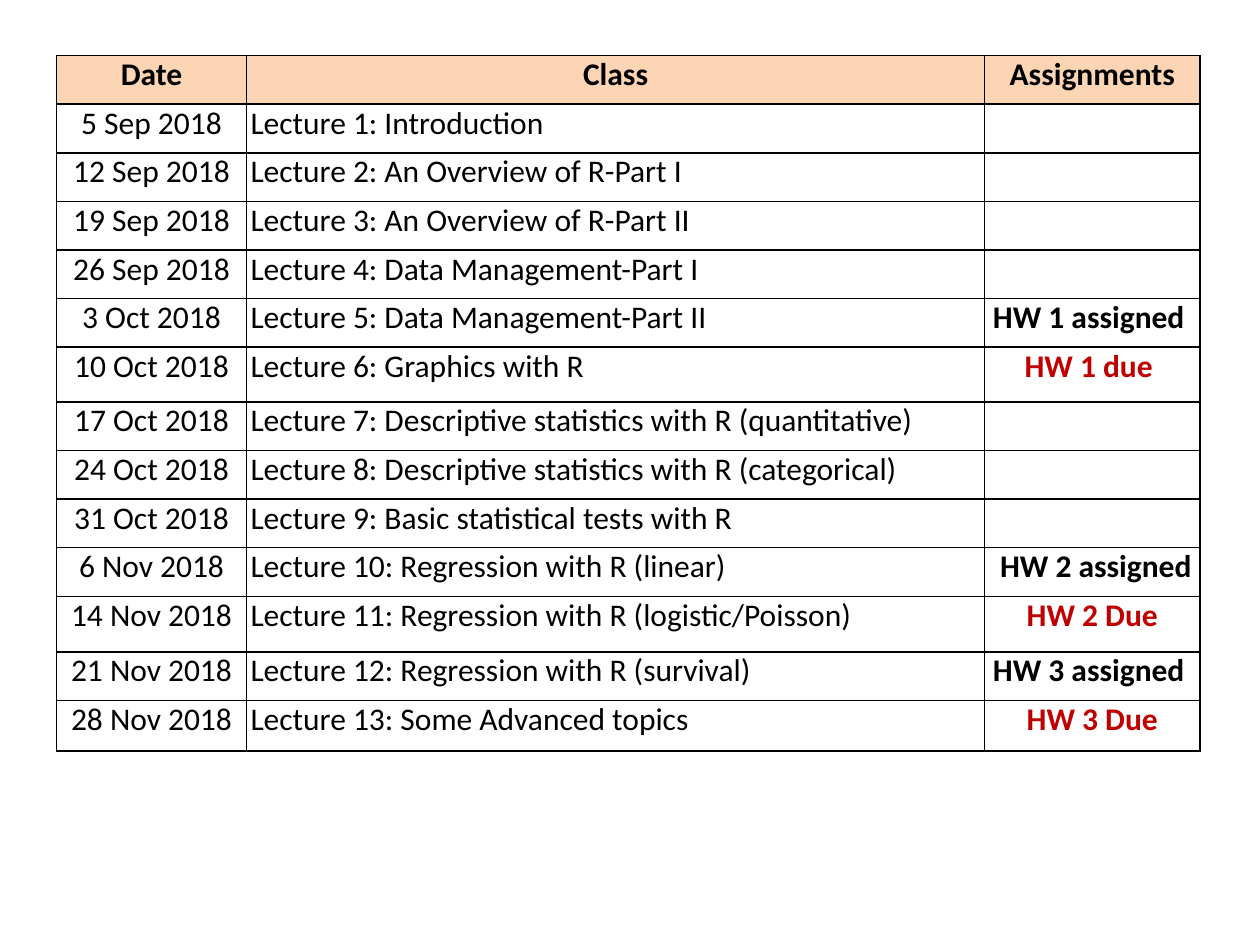
from lxml.etree import SubElement
from pptx import Presentation
from pptx.dml.color import RGBColor
from pptx.enum.text import PP_ALIGN as Align
from pptx.oxml.ns import qn
from pptx.util import Cm, Pt

BLACK = RGBColor(0x00, 0x00, 0x00)
RED = RGBColor(0xC0, 0x00, 0x00)
PEACH = RGBColor(0xFC, 0xD5, 0xB5)

HEADINGS = ("Date", "Class", "Assignments")
LECTURES = (
    ("5 Sep 2018", "Introduction", ""),
    ("12 Sep 2018", "An Overview of R-Part I", ""),
    ("19 Sep 2018", "An Overview of R-Part II", ""),
    ("26 Sep 2018", "Data Management-Part I", ""),
    ("3 Oct 2018", "Data Management-Part II", "HW 1 assigned\u00a0"),
    ("10 Oct 2018", "Graphics with R", "HW 1 due "),
    ("17 Oct 2018", "Descriptive statistics with R (quantitative)", ""),
    ("24 Oct 2018", "Descriptive statistics with R (categorical)", ""),
    ("31 Oct 2018", "Basic statistical tests with R", ""),
    ("6 Nov 2018", "Regression with R (linear)", "\u00a0HW 2 assigned"),
    ("14 Nov 2018", "Regression with R (logistic/Poisson)", "HW 2 Due"),
    ("21 Nov 2018", "Regression with R (survival)", "HW 3 assigned\u00a0"),
    ("28 Nov 2018", "Some Advanced topics", "HW 3 Due"),
)
COLUMN_WIDTHS = (3.83, 14.88, 4.34)
ROW_HEIGHT = 0.98
TALL_ROWS = {6: 1.1, 11: 1.12, 13: 1.02}


class ScheduleSlide:
    """Holds the table style and the current slide."""

    font_name = "Calibri"
    font_size = Pt(18)
    space_after = Pt(5)
    side_margin = Cm(0.08)
    border_width = Pt(1)

    def __init__(self, presentation):
        """Add a blank slide to the presentation."""
        self.slide = presentation.slides.add_slide(presentation.slide_layouts[6])

    def table(self, left, top, widths, heights):
        """Add a plain table with the given column widths and row heights."""
        shape = self.slide.shapes.add_table(
            len(heights), len(widths), Cm(left), Cm(top), Cm(sum(widths)), Cm(sum(heights)))
        table = shape.table
        table.first_row = table.horz_banding = False
        for column, width in zip(table.columns, widths):
            column.width = Cm(width)
        for row, height in zip(table.rows, heights):
            row.height = Cm(height)
        return table

    def cell(self, cell, text, align=Align.CENTER, bold=False, color=BLACK, fill=None):
        """Write and format one table cell."""
        cell.margin_left = cell.margin_right = self.side_margin
        cell.margin_top = cell.margin_bottom = 0
        self.borders(cell)
        if fill is None:
            cell.fill.background()
        else:
            cell.fill.solid()
            cell.fill.fore_color.rgb = fill
        paragraph = cell.text_frame.paragraphs[0]
        paragraph.text = text
        paragraph.alignment = align
        paragraph.space_after = self.space_after
        for run in paragraph.runs:
            run.font.name = self.font_name
            run.font.size = self.font_size
            run.font.bold = bold
            run.font.color.rgb = color

    def borders(self, cell):
        """Draw a thin black line on every side of a cell."""
        properties = cell._tc.get_or_add_tcPr()
        for side in ("a:lnL", "a:lnR", "a:lnT", "a:lnB"):
            line = SubElement(properties, qn(side), w=str(self.border_width))
            SubElement(SubElement(line, qn("a:solidFill")), qn("a:srgbClr"), val=str(BLACK))


def main():
    """Build the course schedule."""
    presentation = Presentation()
    presentation.slide_width, presentation.slide_height = Cm(25.4), Cm(19.05)
    schedule = ScheduleSlide(presentation)
    heights = [TALL_ROWS.get(row, ROW_HEIGHT) for row in range(len(LECTURES) + 1)]
    table = schedule.table(1.14, 1.12, COLUMN_WIDTHS, heights)

    for column, heading in enumerate(HEADINGS):
        schedule.cell(table.cell(0, column), heading, bold=True, fill=PEACH)
    for number, (date, topic, homework) in enumerate(LECTURES, start=1):
        is_due = "due" in homework.lower()
        schedule.cell(table.cell(number, 0), date)
        schedule.cell(table.cell(number, 1), f"Lecture {number}: {topic}", Align.LEFT)
        schedule.cell(table.cell(number, 2), homework, bold=True,
                      color=RED if is_due else BLACK)

    presentation.save("out.pptx")


main()
